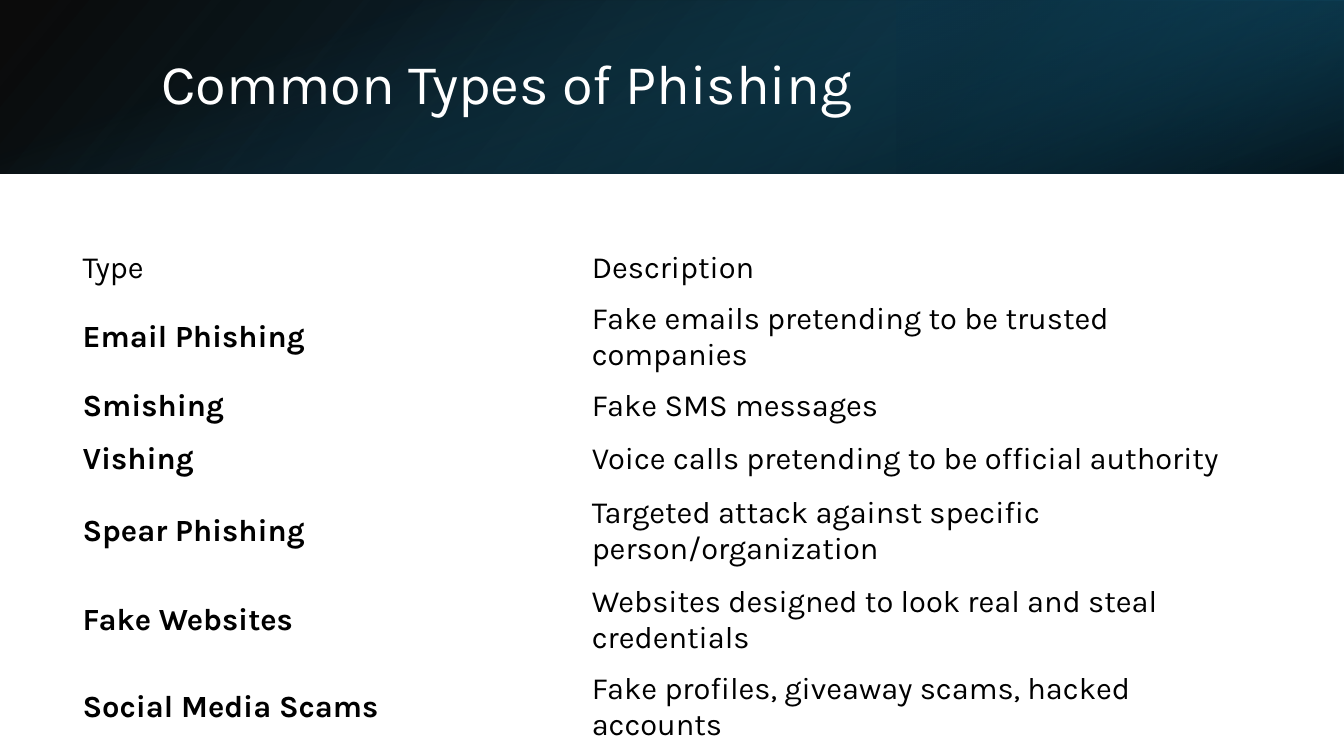
from pptx import Presentation
from pptx.dml.color import RGBColor
from pptx.enum.shapes import MSO_SHAPE
from pptx.enum.text import MSO_ANCHOR, MSO_AUTO_SIZE, PP_ALIGN
from pptx.oxml.ns import qn
from pptx.util import Inches, Pt
from lxml.etree import SubElement

TITLE = "Common Types of Phishing"
HEADER = ("Type", "Description")
TYPES = [
    ("Email Phishing", "Fake emails pretending to be trusted companies"),
    ("Smishing", "Fake SMS messages"),
    ("Vishing", "Voice calls pretending to be official authority"),
    ("Spear Phishing", "Targeted attack against specific person/organization"),
    ("Fake Websites", "Websites designed to look real and steal credentials"),
    ("Social Media Scams", "Fake profiles, giveaway scams, hacked accounts"),
]
COLS = [5.05, 6.9]
ROWS = [0.53, 0.53, 0.53, 0.53, 0.89, 0.89, 0.53]
BANDS = [
    dict(box=(0, 0, 13.33, 1.72), rotation=0, flip=True, angle=140,
         stops=[(0, "000000", 96), (100, "104862", 100)]),
    dict(box=(8.89, 0, 4.44, 1.72), rotation=180, flip=True, angle=320,
         stops=[(19, "0B3041", 68), (100, "156082", 79)]),
    dict(box=(5.8, -5.8, 1.72, 13.33), rotation=90, flip=False, angle=340,
         stops=[(23, "156082", 0), (99, "000000", 74)]),
]
BANDS[0]["stops"][1] = (100, "104862", 100)
NO_STYLE = "{2D5ABB26-0587-4C30-8999-92F81FD0307C}"


def rgb(code):
    return RGBColor.from_string(code)


def set_all(obj, **values):
    for name, value in values.items():
        setattr(obj, name, value)


def write(p, text, size, color, bold=False):
    r = p.add_run()
    r.text = text
    set_all(r.font, name="Karla", size=Pt(size), bold=bold)
    r.font.color.rgb = rgb(color)


def add_band(s, box, rotation, flip, angle, stops):
    sp = s.shapes.add_shape(MSO_SHAPE.RECTANGLE, *map(Inches, box))
    sp.rotation = rotation
    sp.shadow.inherit = False
    sp.line.fill.background()
    if flip:
        sp._element.spPr.find(qn("a:xfrm")).set("flipH", "1")
    sp.fill.gradient()
    sp.fill.gradient_angle = 360 - angle
    for stop, (position, color, opacity) in zip(sp.fill.gradient_stops, stops):
        stop.position = position / 100
        stop.color.rgb = rgb(color)
        clr = stop._gs.find(qn("a:srgbClr"))
        SubElement(clr, qn("a:alpha")).set("val", str(opacity * 1000))


def add_title(s):
    sp = s.shapes.title
    s.shapes._spTree.append(sp._element)
    set_all(sp, left=Inches(1.5), top=Inches(0.38),
            width=Inches(10.98), height=Inches(0.96))
    tf = sp.text_frame
    set_all(tf, vertical_anchor=MSO_ANCHOR.MIDDLE, word_wrap=True,
            auto_size=MSO_AUTO_SIZE.NONE)
    p = tf.paragraphs[0]
    set_all(p, alignment=PP_ALIGN.LEFT, line_spacing=0.9)
    write(p, TITLE, 40, "FFFFFF")


def add_types(s):
    rows = [HEADER] + TYPES
    frame = s.shapes.add_table(len(rows), len(COLS), Inches(0.7), Inches(2.4),
                               Inches(sum(COLS)), Inches(sum(ROWS)))
    table = frame.table
    set_all(table, first_row=False, horz_banding=False)
    table._tbl.tblPr.find(qn("a:tableStyleId")).text = NO_STYLE
    for col, width in zip(table.columns, COLS):
        col.width = Inches(width)
    for i, (row, height) in enumerate(zip(table.rows, ROWS)):
        row.height = Inches(height)
        for j, cell in enumerate(row.cells):
            cell.fill.background()
            set_all(cell, vertical_anchor=MSO_ANCHOR.MIDDLE,
                    margin_left=Inches(0.12), margin_right=Inches(0.12),
                    margin_top=Inches(0.06), margin_bottom=Inches(0.06))
            write(cell.text_frame.paragraphs[0], rows[i][j], 22, "000000",
                  bold=i > 0 and j == 0)


def main():
    prs = Presentation()
    set_all(prs, slide_width=Inches(13.33), slide_height=Inches(7.5))
    s = prs.slides.add_slide(prs.slide_layouts[5])
    s.background.fill.solid()
    s.background.fill.fore_color.rgb = rgb("FFFFFF")
    for band in BANDS:
        add_band(s, **band)
    add_title(s)
    add_types(s)
    prs.save("out.pptx")


if __name__ == "__main__":
    main()
